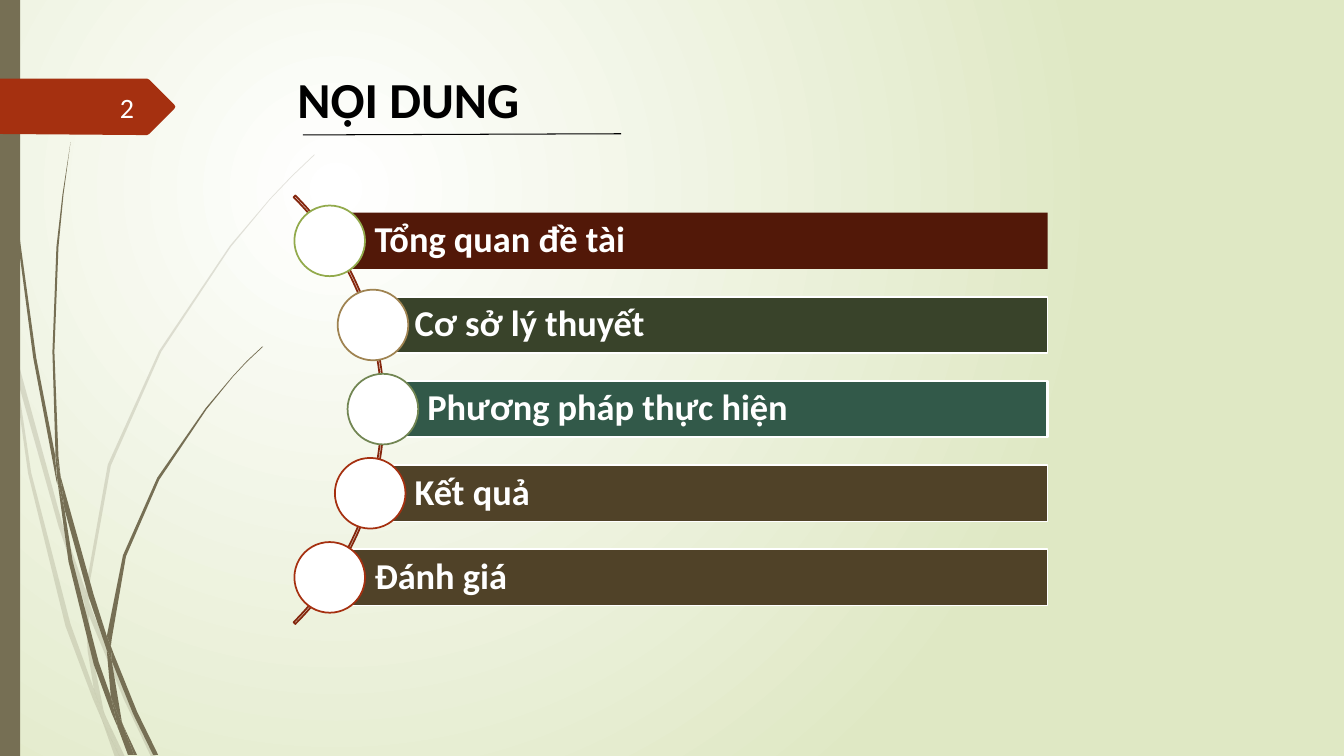
import pptx
import pptx.util
import pptx.dml.color
import pptx.enum.shapes
import pptx.enum.text
import pptx.oxml.ns
import lxml.etree

Cm = pptx.util.Cm
Pt = pptx.util.Pt
RGBColor = pptx.dml.color.RGBColor
SHAPE = pptx.enum.shapes.MSO_SHAPE
ANCHOR = pptx.enum.text.MSO_ANCHOR
ALIGN = pptx.enum.text.PP_ALIGN
qn = pptx.oxml.ns.qn

WHITE = RGBColor(0xFF, 0xFF, 0xFF)
BLACK = RGBColor(0, 0, 0)
PALE_GREEN = RGBColor(0xDF, 0xE8, 0xC4)
TAUPE = RGBColor(0x76, 0x6F, 0x54)
RUST = RGBColor(0xA5, 0x30, 0x10)
DARK_RUST = RGBColor(0x84, 0x26, 0x0D)
MAROON = RGBColor(0x52, 0x18, 0x08)
MOSS = RGBColor(0x39, 0x43, 0x2A)
TEAL = RGBColor(0x32, 0x59, 0x49)
BROWN = RGBColor(0x50, 0x42, 0x28)
LIME = RGBColor(0x92, 0xAA, 0x4C)
OCHRE = RGBColor(0x9F, 0x83, 0x51)
SAGE = RGBColor(0x72, 0x86, 0x53)

HEADING = "NỘI DUNG"
PAGE_NUMBER = "2"
TOPICS = [
    ("Tổng quan đề tài", MAROON, 0, LIME, 8.32, 7.42),
    ("Cơ sở lý thuyết", MOSS, 1.25, OCHRE, 9.33, 8.51),
    ("Phương pháp thực hiện", TEAL, 1.75, SAGE, 9.65, 8.76),
    ("Kết quả", BROWN, 1.25, RUST, 9.33, 8.44),
    ("Đánh giá", BROWN, 1.25, RUST, 8.32, 7.42),
]
FAINT_BLADES = [
    [(0.11, 3.5), (0.09, 3.22), (0, 2.82), (0, 2.99), (0.1, 3.44)],
    [(0.58, 5.22), (0.84, 5.99), (0.85, 5.86), (0.62, 5.2), (0.14, 3.45), (0.17, 3.76)],
    [(0.92, 6.07), (0.88, 5.96), (0.88, 6.1), (1.23, 6.94), (1.5, 7.51), (1.55, 7.51),
     (1.27, 6.92)],
    [(1.19, 7.51), (1.24, 7.51), (1.05, 7.11)],
    [(0.93, 6.83), (0.7, 6.19), (0.31, 4.69), (0.17, 3.76), (0.11, 3.5), (0.28, 4.7),
     (0.65, 6.21), (0.92, 6.93), (1.01, 7.14), (0.99, 7.07)],
    [(0.84, 5.99), (0.87, 6.46), (0.93, 6.83), (0.96, 6.92), (1.05, 7.11), (1.03, 7.06),
     (0.91, 6.46), (0.88, 6.1), (0.88, 6.08)],
    [(0.88, 5.84), (1.1, 4.62), (1.6, 3.49), (2.29, 2.45), (2.68, 1.98), (2.9, 1.75),
     (3.12, 1.54), (3.12, 1.53), (2.89, 1.75), (2.68, 1.97), (2.28, 2.44), (1.58, 3.48),
     (1.07, 4.61), (0.85, 5.84), (0.85, 5.86), (0.88, 5.96)],
    [(1.01, 7.14), (1.14, 7.51), (1.19, 7.51)],
    [(0.88, 6.08), (0.88, 6.1), (0.88, 5.96), (0.85, 5.86), (0.84, 5.99)],
    [(0.96, 6.92), (0.93, 6.83), (0.99, 7.07), (1.01, 7.14), (1.19, 7.51), (1.05, 7.11)],
]
SOLID_BLADES = [
    [(0.07, 1.1), (0.17, 2.33), (0.33, 3.55), (0.56, 4.77), (0.57, 4.81), (0.55, 4.57),
     (0.55, 4.53), (0.36, 3.55), (0.19, 2.32), (0.08, 1.09), (0.05, 0.48), (0.04, 0),
     (0.03, 0), (0.04, 0.48)],
    [(0.88, 5.92), (1.06, 6.45), (1.06, 6.33), (1.06, 6.31), (0.93, 5.9), (0.6, 4.72),
     (0.64, 5.05)],
    [(1.13, 6.49), (1.1, 6.41), (1.11, 6.56), (1.32, 7.08), (1.52, 7.49), (1.57, 7.49),
     (1.36, 7.06)],
    [(1.1, 6.91), (0.98, 6.57), (0.72, 5.56), (0.64, 5.05), (0.57, 4.77), (0.68, 5.57),
     (0.93, 6.59), (1.11, 7.08), (1.17, 7.22), (1.16, 7.17)],
    [(0.6, 4.72), (0.58, 4.53), (0.54, 3.49), (0.58, 2.45), (0.63, 1.93), (0.7, 1.41),
     (0.62, 1.93), (0.56, 2.45), (0.52, 3.49), (0.55, 4.49)],
    [(1.33, 7.49), (1.36, 7.49), (1.22, 7.19)],
    [(0.57, 4.77), (0.64, 5.05), (0.6, 4.72), (0.55, 4.49), (0.55, 4.53)],
    [(1.11, 6.33), (1.25, 5.52), (1.58, 4.76), (2.05, 4.06), (2.31, 3.74), (2.45, 3.59),
     (2.61, 3.44), (2.6, 3.44), (2.45, 3.58), (2.31, 3.73), (2.04, 4.05), (1.56, 4.74),
     (1.22, 5.51), (1.06, 6.31), (1.1, 6.41)],
    [(1.17, 7.22), (1.27, 7.49), (1.31, 7.49)],
    [(1.06, 6.45), (1.1, 6.91), (1.16, 7.06), (1.22, 7.19), (1.21, 7.16), (1.11, 6.56),
     (1.09, 6.51)],
    [(1.06, 6.45), (1.09, 6.51), (1.11, 6.56), (1.1, 6.41), (1.06, 6.31), (1.06, 6.33)],
    [(1.16, 7.06), (1.1, 6.91), (1.16, 7.17), (1.17, 7.22), (1.3, 7.49), (1.33, 7.49),
     (1.22, 7.19)],
]
FLAG = [(1.73, 1.08), (1.48, 1.33), (1.46, 1.34), (1.36, 1.34), (0, 1.33), (0, 0.78),
        (1.36, 0.78), (1.46, 0.78), (1.48, 0.79), (1.73, 1.04), (1.74, 1.06)]
CM_PER_INCH = 2.54
SLIDE_W, SLIDE_H = 33.87, 19.05
FIRST_MIDDLE, PITCH = 6.07, 2.12
BAR_RIGHT, BAR_H, CIRCLE = 26.4, 1.42, 1.78

TITLE_FRAME = {"vertical_anchor": ANCHOR.TOP, "word_wrap": True,
               "auto_size": pptx.enum.text.MSO_AUTO_SIZE.NONE}
NUMBER_FRAME = {"vertical_anchor": ANCHOR.MIDDLE, "word_wrap": True}
TOPIC_FRAME = {"vertical_anchor": ANCHOR.MIDDLE, "word_wrap": True,
               "margin_left": Cm(1.12), "margin_right": Cm(0.18),
               "margin_top": Cm(0.18), "margin_bottom": Cm(0.18)}
TITLE_FONT = {"name": "Calibri", "size": Pt(36), "bold": True}
NUMBER_FONT = {"name": "Calibri", "size": Pt(20)}
TOPIC_FONT = {"name": "Calibri", "size": Pt(26), "bold": True}


def assign(target, values):
    for key, value in values.items():
        setattr(target, key, value)


def write(shape, text, frame, font, color, paragraph):
    assign(shape.text_frame, frame)
    line = shape.text_frame.paragraphs[0]
    assign(line, paragraph)
    run = line.add_run()
    run.text = text
    assign(run.font, font)
    run.font.color.rgb = color


def paint(shape, fill=None, line=None, width=0):
    shape.shadow.inherit = False
    if fill is None:
        shape.fill.background()
    else:
        shape.fill.solid()
        shape.fill.fore_color.rgb = fill
    if width:
        shape.line.color.rgb = line
        shape.line.width = Pt(width)
    else:
        shape.line.fill.background()
    return shape


def place(slide, kind, left, top, width, height):
    return slide.shapes.add_shape(kind, Cm(left), Cm(top), Cm(width), Cm(height))


def draw_outline(slide, corners, color, opacity=100):
    start, *rest = [(Cm(x * CM_PER_INCH), Cm(y * CM_PER_INCH)) for x, y in corners]
    builder = slide.shapes.build_freeform(*start)
    builder.add_line_segments(rest, close=True)
    outline = paint(builder.convert_to_shape(), color)
    if opacity < 100:
        tint = outline.element.spPr.find(qn("a:solidFill"))[0]
        lxml.etree.SubElement(tint, qn("a:alpha")).set("val", str(opacity * 1000))


def draw_background(slide):
    fill = slide.background.fill
    fill.gradient()
    for stop, color in zip(fill.gradient_stops, (WHITE, PALE_GREEN)):
        stop.color.rgb = color
    gradient = slide.element.find(".//" + qn("a:gradFill"))
    gradient.remove(gradient.find(qn("a:lin")))
    glow = lxml.etree.SubElement(gradient, qn("a:path"))
    glow.set("path", "circle")
    focus = lxml.etree.SubElement(glow, qn("a:fillToRect"))
    for side, share in zip("ltrb", (50, 50, 100, 100)):
        focus.set(side, str(share * 1000))


def draw_heading(slide):
    assign(slide.shapes.title, {"left": Cm(7.24), "top": Cm(1.59),
                                "width": Cm(24.77), "height": Cm(3.56)})
    write(slide.shapes.title, HEADING, TITLE_FRAME, TITLE_FONT, BLACK,
          {"alignment": ALIGN.LEFT})
    underline = slide.shapes.add_connector(
        pptx.enum.shapes.MSO_CONNECTOR.STRAIGHT, Cm(7.63), Cm(3.4), Cm(15.65), Cm(3.37))
    underline.line.color.rgb = BLACK
    underline.line.width = Pt(0.75)
    lxml.etree.SubElement(underline.element.spPr, qn("a:effectLst"))


def draw_topics(slide):
    arc = paint(place(slide, SHAPE.BLOCK_ARC, -5.59, 2.69, 15.27, 15.27),
                None, DARK_RUST, 1.25)
    for i, value in enumerate((189, 27, 0.004)):
        arc.adjustments[i] = value
    for i, (topic, color, border, ring, bar_left, ring_left) in enumerate(TOPICS):
        middle = FIRST_MIDDLE + i * PITCH
        bar = place(slide, SHAPE.RECTANGLE, bar_left, middle - BAR_H / 2,
                    BAR_RIGHT - bar_left, BAR_H)
        paint(bar, color, WHITE, border)
        write(bar, topic, TOPIC_FRAME, TOPIC_FONT, WHITE,
              {"alignment": ALIGN.LEFT, "line_spacing": 0.9})
        circle = place(slide, SHAPE.OVAL, ring_left, middle - CIRCLE / 2, CIRCLE, CIRCLE)
        paint(circle, WHITE, ring, 1.25)


def main():
    deck = pptx.Presentation()
    deck.slide_width, deck.slide_height = Cm(SLIDE_W), Cm(SLIDE_H)
    slide = deck.slides.add_slide(deck.slide_layouts[5])
    draw_background(slide)
    for blades, opacity in ((FAINT_BLADES, 20), (SOLID_BLADES, 100)):
        for corners in blades:
            draw_outline(slide, corners, TAUPE, opacity)
    paint(place(slide, SHAPE.RECTANGLE, 0, 0, 0.51, SLIDE_H), TAUPE)
    draw_outline(slide, FLAG, RUST)
    draw_heading(slide)
    number = slide.shapes.add_textbox(Cm(1.47), Cm(2.2), Cm(2.16), Cm(1.02))
    write(number, PAGE_NUMBER, NUMBER_FRAME, NUMBER_FONT, WHITE, {"alignment": ALIGN.RIGHT})
    draw_topics(slide)
    deck.save("out.pptx")


if __name__ == "__main__":
    main()
